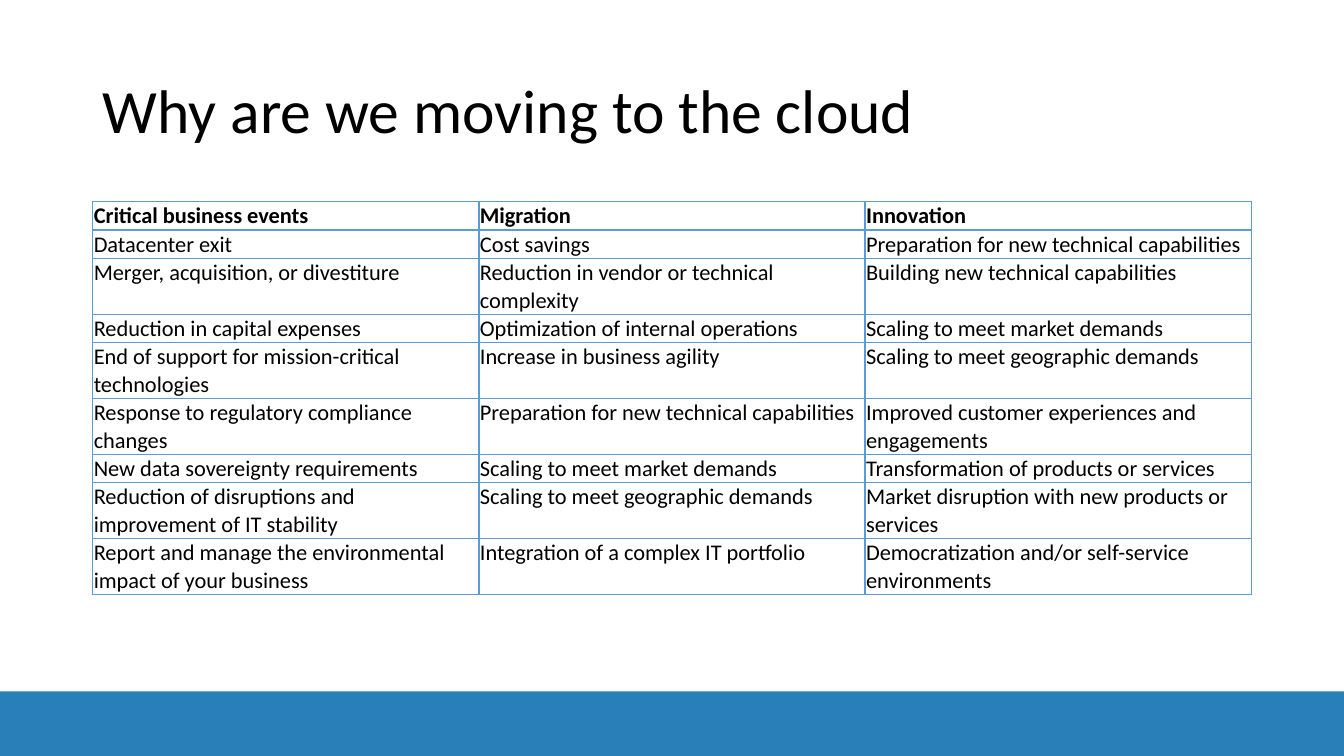
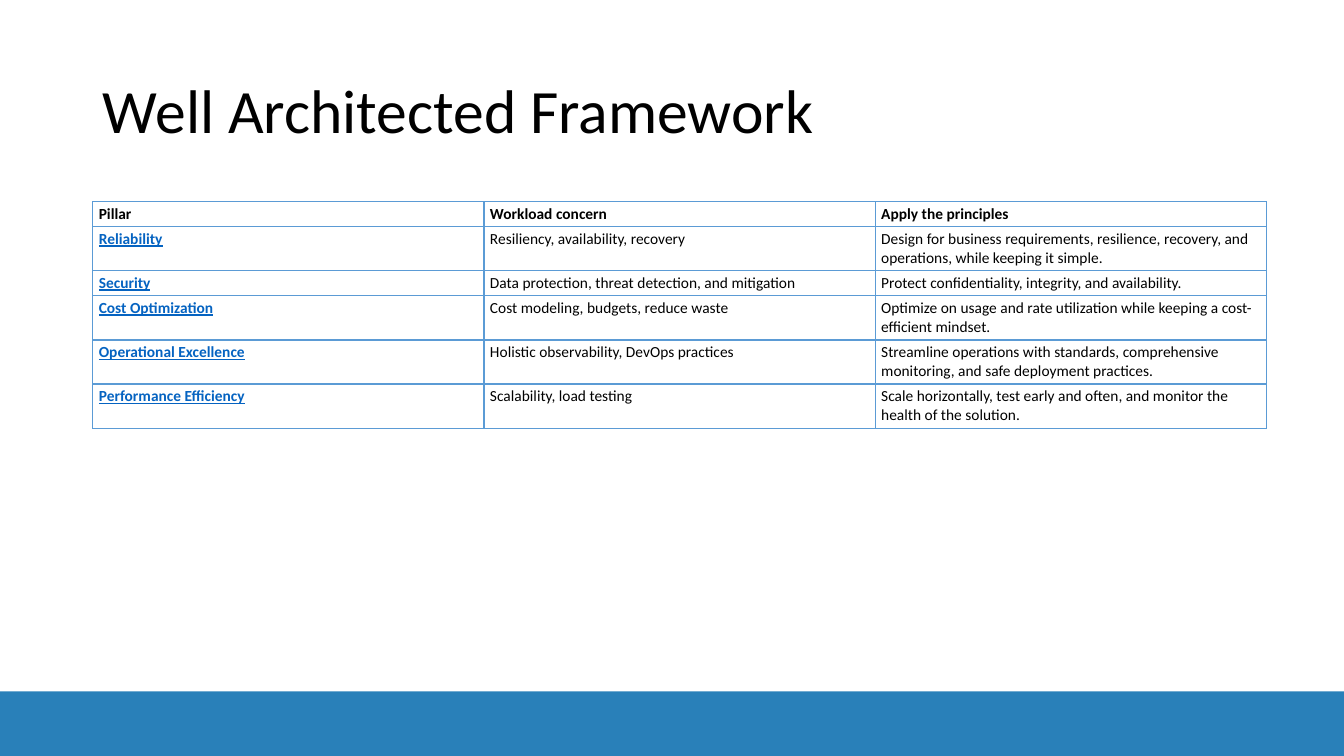
import lxml.etree
import pptx
import pptx.dml.color
import pptx.enum.shapes
import pptx.enum.text
import pptx.oxml.ns
import pptx.util

Inches = pptx.util.Inches
Pt = pptx.util.Pt
RGBColor = pptx.dml.color.RGBColor
qn = pptx.oxml.ns.qn

# Shared style
FONT = "Calibri"
BLACK = RGBColor(0x00, 0x00, 0x00)
BAND_BLUE = RGBColor(0x29, 0x80, 0xB9)
BORDER_BLUE = RGBColor(0x5B, 0x9B, 0xD5)
LINK_BLUE = RGBColor(0x05, 0x63, 0xC1)
LEFT = Inches(0.92)
TABLE_TOP = Inches(2)

# Content of each slide; the first row of a table is its header
SLIDES = [
    {
        "title": "Why are we moving to the cloud",
        "column_width": 3.83,
        "row_height": 0.18,
        "font_size": 16,
        "margins": (0.01, 0.01, 0.01, 0),
        "link_column": None,
        "rows": [
            ("Critical business events", "Migration", "Innovation"),
            ("Datacenter exit", "Cost savings", "Preparation for new technical capabilities"),
            ("Merger, acquisition, or divestiture", "Reduction in vendor or technical complexity",
             "Building new technical capabilities"),
            ("Reduction in capital expenses", "Optimization of internal operations",
             "Scaling to meet market demands"),
            ("End of support for mission-critical technologies", "Increase in business agility",
             "Scaling to meet geographic demands"),
            ("Response to regulatory compliance changes",
             "Preparation for new technical capabilities",
             "Improved customer experiences and engagements"),
            ("New data sovereignty requirements", "Scaling to meet market demands",
             "Transformation of products or services"),
            ("Reduction of disruptions and improvement of IT stability",
             "Scaling to meet geographic demands",
             "Market disruption with new products or services"),
            ("Report and manage the environmental impact of your business",
             "Integration of a complex IT portfolio",
             "Democratization and/or self-service environments"),
        ],
    },
    {
        "title": "Well Architected Framework",
        "column_width": 3.88,
        "row_height": 0.2,
        "font_size": 11,
        "margins": (0.06, 0.03, 0.06, 0.03),
        "link_column": 0,
        "rows": [
            ("Pillar", "Workload concern", "Apply the principles"),
            ("Reliability", "Resiliency, availability, recovery",
             "Design for business requirements, resilience, recovery, and operations, "
             "while keeping it simple."),
            ("Security", "Data protection, threat detection, and mitigation",
             "Protect confidentiality, integrity, and availability."),
            ("Cost Optimization", "Cost modeling, budgets, reduce waste",
             "Optimize on usage and rate utilization while keeping a cost-efficient mindset."),
            ("Operational Excellence", "Holistic observability, DevOps practices",
             "Streamline operations with standards, comprehensive monitoring, "
             "and safe deployment practices."),
            ("Performance Efficiency", "Scalability, load testing",
             "Scale horizontally, test early and often, and monitor the health of the solution."),
        ],
    },
]


def add_borders(cell):
    """Outline a cell; border lines come before the fill in the cell properties."""
    properties = cell._tc.get_or_add_tcPr()
    for index, side in enumerate(("lnL", "lnR", "lnT", "lnB")):
        line = lxml.etree.Element(qn("a:" + side), w=str(Pt(1)))
        fill = lxml.etree.SubElement(line, qn("a:solidFill"))
        lxml.etree.SubElement(fill, qn("a:srgbClr"), val=str(BORDER_BLUE))
        properties.insert(index, line)


def format_cell(cell, text, content, bold, link):
    left, top, right, bottom = content["margins"]
    cell.margin_left, cell.margin_top = Inches(left), Inches(top)
    cell.margin_right, cell.margin_bottom = Inches(right), Inches(bottom)
    cell.fill.background()
    add_borders(cell)
    cell.text = text
    font = cell.text_frame.paragraphs[0].font
    font.name = FONT
    font.size = Pt(content["font_size"])
    font.bold = bold
    font.underline = link
    font.color.rgb = LINK_BLUE if link else BLACK


presentation = pptx.Presentation()
presentation.slide_width = Inches(13.33)
presentation.slide_height = Inches(7.5)
layout = presentation.slide_layouts[5]

for number, content in enumerate(SLIDES):
    slide = presentation.slides.add_slide(layout)

    # Bottom band, moved to the layout so that every slide shows it
    if number == 0:
        band = slide.shapes.add_shape(
            pptx.enum.shapes.MSO_SHAPE.RECTANGLE,
            0, Inches(6.86), presentation.slide_width, Inches(0.64))
        band.shadow.inherit = False
        band.fill.solid()
        band.fill.fore_color.rgb = BAND_BLUE
        band.line.fill.background()
        layout.shapes.element.insert(2, band.element)

    # Title
    title = slide.shapes.title
    title.left, title.top = LEFT, Inches(0.4)
    title.width, title.height = Inches(11.5), Inches(1.45)
    title.text_frame.text = content["title"]
    title.text_frame.vertical_anchor = pptx.enum.text.MSO_ANCHOR.MIDDLE
    paragraph = title.text_frame.paragraphs[0]
    paragraph.alignment = pptx.enum.text.PP_ALIGN.LEFT
    paragraph.line_spacing = 0.9
    paragraph.font.name = FONT
    paragraph.font.size = Pt(44)
    paragraph.font.color.rgb = BLACK

    # Table; rows grow with their text
    rows = content["rows"]
    column_count = len(rows[0])
    table = slide.shapes.add_table(
        len(rows), column_count, LEFT, TABLE_TOP,
        Inches(content["column_width"] * column_count),
        Inches(content["row_height"] * len(rows))).table
    table.first_row = False
    table.horz_banding = False
    for row_index, row in enumerate(rows):
        for column_index, text in enumerate(row):
            header = row_index == 0
            link = not header and column_index == content["link_column"]
            format_cell(table.cell(row_index, column_index), text, content, header or link, link)

presentation.save("out.pptx")
